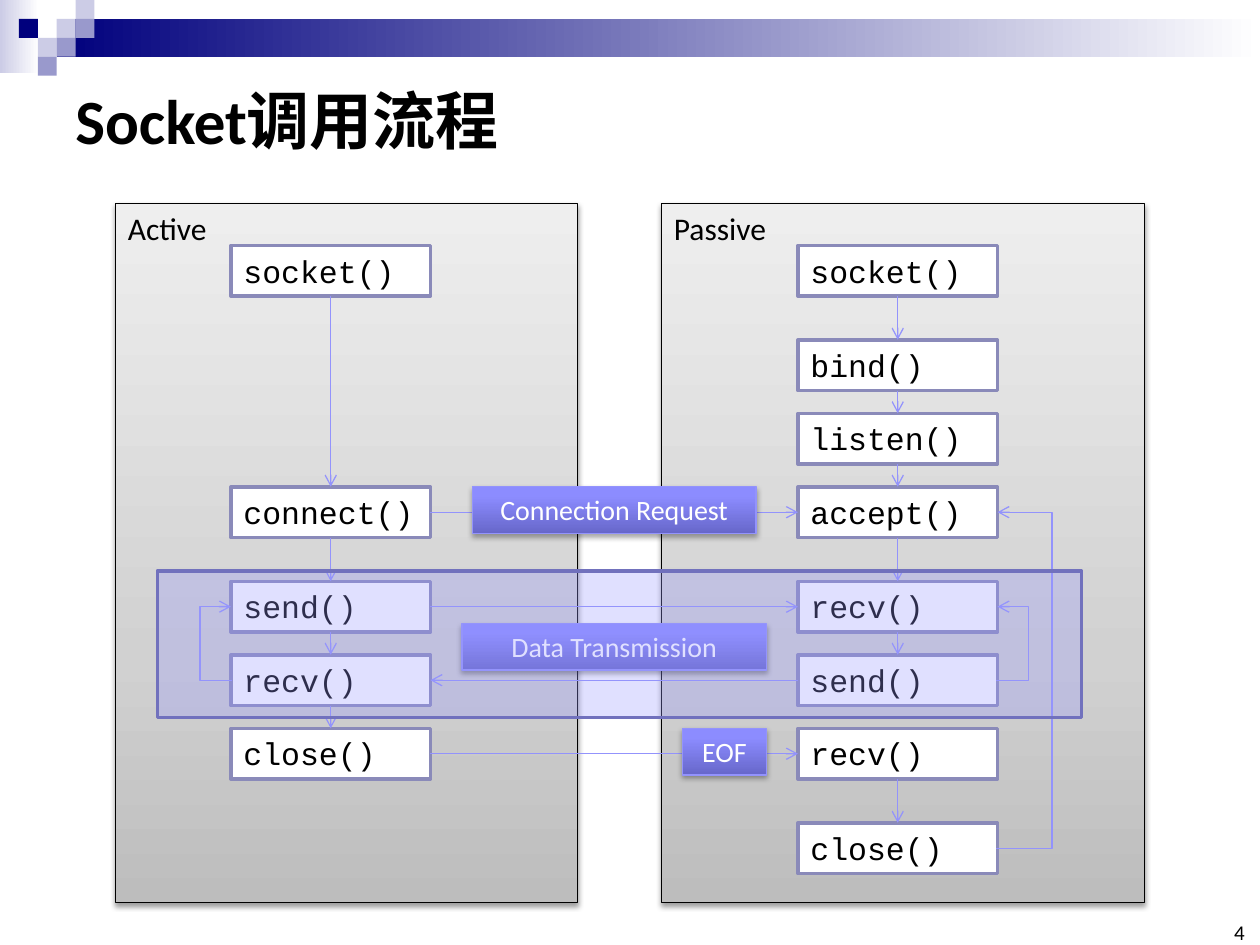
"""Build the slide on the socket call sequence of an active and a passive peer."""
from dataclasses import dataclass

from lxml.etree import SubElement
from pptx import Presentation
from pptx.dml.color import RGBColor as Rgb
from pptx.enum.shapes import MSO_CONNECTOR as Link, MSO_SHAPE as Preset
from pptx.enum.text import MSO_ANCHOR as Anchor, PP_ALIGN as Align
from pptx.oxml.ns import qn
from pptx.util import Inches, Pt


@dataclass(frozen=True)
class Theme:
    """Colours, fonts, type sizes and line widths of the slide."""
    sans: str = "Calibri"
    mono: str = "Courier New"
    ink: str = "000000"
    paper: str = "FFFFFF"
    navy: str = "00007D"
    lilac: str = "CCCCE6"
    violet: str = "9999CC"
    call_edge: str = "8A8AB9"
    arrow: str = "9393FC"
    band: str = "9999FF"
    band_edge: str = "7171BD"
    panel: tuple = ((0, "BDBDBD"), (35, "D1D1D1"), (100, "EEEEEE"))
    label: tuple = ((0, "6767CA"), (80, "8C8CFF"), (100, "8E8EFF"))
    title_size: int = 36
    body_size: int = 18
    label_size: int = 16
    number_size: int = 12
    thin: float = 0.75
    thick: float = 2


class Board:
    """Draws on one slide, with a grid of twelve columns and rows to the inch."""
    PER_INCH = 12
    TOP = 0.03
    TOP_SITE, LEFT_SITE, BOTTOM_SITE, RIGHT_SITE = range(4)

    def __init__(self, deck, theme):
        """Add a blank slide to the deck."""
        self.theme = theme
        self.slide = deck.slides.add_slide(deck.slide_layouts[6])

    def cells(self, col, row, cols, rows):
        """Turn grid cells into a box in inches."""
        return (col / self.PER_INCH, self.TOP + row / self.PER_INCH,
                cols / self.PER_INCH, rows / self.PER_INCH)

    def letter(self, shape, words, size, font=None, color=None,
               align=Align.LEFT, anchor=Anchor.TOP, bold=False):
        """Put one run of text into a shape."""
        frame = shape.text_frame
        frame.word_wrap = True
        frame.vertical_anchor = anchor
        frame.paragraphs[0].alignment = align
        run = frame.paragraphs[0].add_run()
        run.text = words
        run.font.name = font or self.theme.sans
        run.font.size = Pt(size)
        run.font.bold = bold
        run.font.color.rgb = Rgb.from_string(color or self.theme.ink)

    def text(self, box, words, size, inset=None, **style):
        """Add a text box."""
        holder = self.slide.shapes.add_textbox(*map(Inches, box))
        if inset is not None:
            frame = holder.text_frame
            frame.margin_left = frame.margin_right = Inches(inset)
            frame.margin_top = frame.margin_bottom = Inches(inset)
        self.letter(holder, words, size, **style)

    def rect(self, box, fill, edge=None, width=0, angle=0, alpha=None):
        """Add a rectangle with a plain fill or a gradient."""
        shape = self.slide.shapes.add_shape(Preset.RECTANGLE, *map(Inches, box))
        shape.shadow.inherit = False
        if isinstance(fill, str):
            shape.fill.solid()
            shape.fill.fore_color.rgb = Rgb.from_string(fill)
        else:
            self.blend(shape, fill, angle)
        if alpha is not None:
            tint = shape.element.spPr.find(qn("a:solidFill")).find(qn("a:srgbClr"))
            SubElement(tint, qn("a:alpha"), val=str(alpha * 1000))
        if edge:
            shape.line.color.rgb = Rgb.from_string(edge)
            shape.line.width = Pt(width)
        else:
            shape.line.fill.background()
        return shape

    def blend(self, shape, stops, angle):
        """Fill a shape with a gradient."""
        shape.fill.gradient()
        shape.fill.gradient_angle = angle
        ramp = shape.element.spPr.find(qn("a:gradFill")).find(qn("a:gsLst"))
        for old in list(ramp):
            ramp.remove(old)
        for share, color in stops:
            stop = SubElement(ramp, qn("a:gs"), pos=str(share * 1000))
            SubElement(stop, qn("a:srgbClr"), val=color)

    def raised(self, box, stops, edge, opacity):
        """Add a rectangle with an upward gradient and a soft shadow."""
        shape = self.rect(box, stops, edge, self.theme.thin, angle=90)
        effects = shape.element.spPr.find(qn("a:effectLst"))
        shadow = SubElement(effects, qn("a:outerShdw"), blurRad=str(Pt(3.1)),
                            dist=str(Pt(1.7)), dir="5400000", rotWithShape="0")
        color = SubElement(shadow, qn("a:srgbClr"), val=self.theme.ink)
        SubElement(color, qn("a:alpha"), val=str(opacity * 1000))
        return shape

    def panel(self, col, cols, name):
        """Add the panel of one peer."""
        shape = self.raised(self.cells(col, 19, cols, 66.6), self.theme.panel,
                            self.theme.ink, 38)
        self.letter(shape, name, self.theme.body_size)

    def call(self, col, row, name):
        """Add the box of one function call."""
        shape = self.rect(self.cells(col, row, 19, 4.85), self.theme.paper,
                          self.theme.call_edge, self.theme.thick)
        self.letter(shape, name, self.theme.body_size, font=self.theme.mono)
        return shape

    def label(self, col, row, cols, words):
        """Add the caption of an exchange."""
        shape = self.raised(self.cells(col, row, cols, 4.45), self.theme.label,
                            self.theme.arrow, 35)
        self.letter(shape, words, self.theme.label_size, color=self.theme.paper,
                    align=Align.CENTER)

    def finish(self, link):
        """Style a connector as a thin arrow."""
        link.line.color.rgb = Rgb.from_string(self.theme.arrow)
        link.line.width = Pt(self.theme.thin)
        outline = link.element.spPr.find(qn("a:ln"))
        SubElement(outline, qn("a:tailEnd"), type="arrow")
        SubElement(link.element.spPr, qn("a:effectLst"))

    def arrow(self, source, source_site, target, target_site):
        """Join two calls by a straight arrow."""
        link = self.slide.shapes.add_connector(Link.STRAIGHT, 0, 0, 0, 0)
        link.begin_connect(source, source_site)
        link.end_connect(target, target_site)
        self.finish(link)

    def loop(self, source, target, reach, side):
        """Lead back from a lower call to a higher one around the given side."""
        edge = source.left + (source.width if side > 0 else 0)
        step = Inches(0.01)
        link = self.slide.shapes.add_connector(
            Link.ELBOW, edge - side * step, source.top + source.height // 2,
            edge, target.top + target.height // 2)
        guides = link.element.spPr.find(qn("a:prstGeom")).get_or_add_avLst()
        bend = round((Inches(reach) + step) / step * 100000)
        SubElement(guides, qn("a:gd"), name="adj1", fmla=f"val {bend}")
        self.finish(link)


def main():
    """Draw the slide and save it."""
    deck = Presentation()
    deck.slide_width, deck.slide_height = Inches(10), Inches(7.5)
    theme = Theme()
    board = Board(deck, theme)

    board.rect((0, 0, 0.31, 0.58), ((0, theme.lilac), (100, theme.paper)))
    board.rect((0.45, 0.15, 9.55, 0.3), ((0, theme.navy), (100, theme.paper)))
    tile = 0.15
    for col, row, color in ((3, 1, theme.lilac), (4, 0, theme.lilac),
                            (4, 1, theme.violet), (2, 2, theme.lilac),
                            (1, 1, theme.navy), (3, 2, theme.violet),
                            (2, 3, theme.violet)):
        board.rect((col * tile, row * tile, tile, tile), color)

    board.text((0.5, 0.5, 9, 0.89), "Socket调用流程", theme.title_size,
               anchor=Anchor.MIDDLE, bold=True)
    board.text((9.65, 7.33, 0.23, 0.17), "4", theme.number_size, inset=0,
               align=Align.RIGHT, anchor=Anchor.BOTTOM)

    board.panel(63, 46, "Passive")
    board.panel(11, 44, "Active")
    active = [board.call(22, row, name) for row, name in (
        (23, "socket()"), (46, "connect()"), (55, "send()"),
        (62, "recv()"), (69, "close()"))]
    passive = [board.call(76, row, name) for row, name in (
        (23, "socket()"), (32, "bind()"), (39, "listen()"), (46, "accept()"),
        (55, "recv()"), (62, "send()"), (69, "recv()"), (78, "close()"))]

    for chain in (active, passive[:6], passive[6:]):
        for upper, lower in zip(chain, chain[1:]):
            board.arrow(upper, board.BOTTOM_SITE, lower, board.TOP_SITE)
    _, connect, send, receive, close = active
    accept, hear, reply, hear_end, shut = passive[3:]
    for source, target in ((connect, accept), (send, hear), (close, hear_end)):
        board.arrow(source, board.RIGHT_SITE, target, board.LEFT_SITE)
    board.arrow(reply, board.LEFT_SITE, receive, board.RIGHT_SITE)
    for source, target, reach, side in ((receive, send, 0.25, -1),
                                        (reply, hear, 0.25, 1),
                                        (shut, accept, 0.44, 1)):
        board.loop(source, target, reach, side)

    board.label(65, 69, 8, "EOF")
    board.label(45, 46, 27, "Connection Request")
    board.label(44, 59, 29, "Data Transmission")
    board.rect(board.cells(15, 54, 88, 14), theme.band, theme.band_edge,
               theme.thick, alpha=30)
    deck.save("out.pptx")


main()
